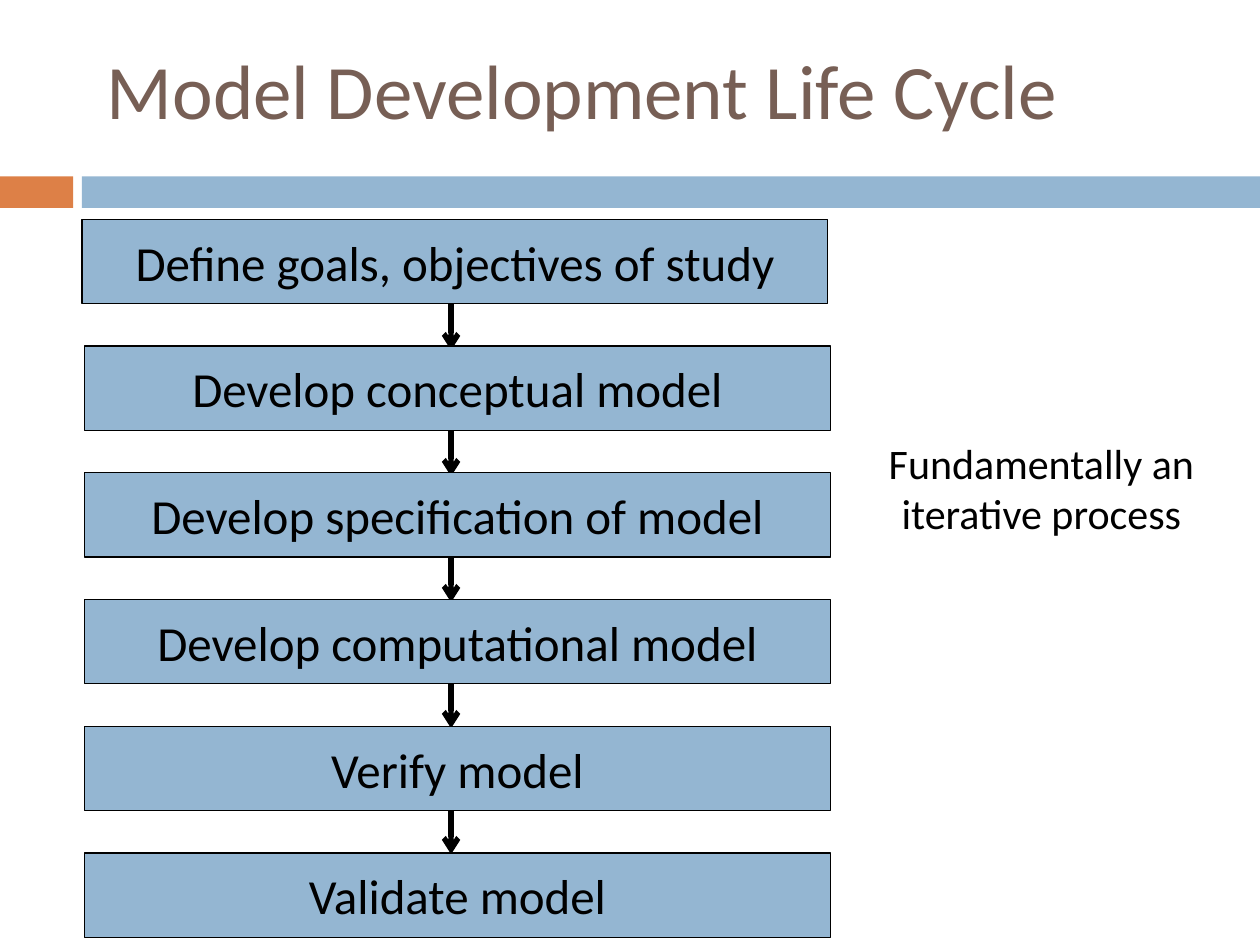
"""Build the Model Development Life Cycle slide."""
from lxml import etree
from pptx import Presentation
from pptx.dml.color import RGBColor
from pptx.enum.shapes import MSO_CONNECTOR, MSO_SHAPE
from pptx.enum.text import MSO_ANCHOR, PP_ALIGN
from pptx.oxml.ns import qn
from pptx.util import Inches, Pt

RECT = MSO_SHAPE.RECTANGLE
STRAIGHT = MSO_CONNECTOR.STRAIGHT
MIDDLE, TOP = MSO_ANCHOR.MIDDLE, MSO_ANCHOR.TOP
CENTER, LEFT = PP_ALIGN.CENTER, PP_ALIGN.LEFT

THEME = {
    "font": "Calibri",
    "blue": RGBColor.from_string("94B6D2"),
    "orange": RGBColor.from_string("DD8047"),
    "brown": RGBColor.from_string("775F55"),
    "black": RGBColor.from_string("000000"),
    "title": Pt(44),
    "step": Pt(28),
    "note": Pt(24),
}


def add_rect(left, top, width, height, color):
    sp = s.shapes.add_shape(RECT, Inches(left), Inches(top), Inches(width), Inches(height))
    sp.shadow.inherit = False
    sp.fill.solid()
    sp.fill.fore_color.rgb = THEME[color]
    sp.line.fill.background()
    return sp


def write(sp, text, size, color="black", align=CENTER, anchor=MIDDLE):
    tf = sp.text_frame
    tf.word_wrap = True
    tf.vertical_anchor = anchor
    p = tf.paragraphs[0]
    p.alignment = align
    r = p.add_run()
    r.text = text
    r.font.name = THEME["font"]
    r.font.size = THEME[size]
    r.font.color.rgb = THEME[color]


prs = Presentation()
prs.slide_width, prs.slide_height = Inches(10), Inches(7.5)
s = prs.slides.add_slide(prs.slide_layouts[6])

add_rect(0, 1.4, 0.58, 0.25, "orange")
add_rect(0.65, 1.4, 9.35, 0.25, "blue")

title = s.shapes.add_textbox(Inches(0.75), Inches(0.08), Inches(8.5), Inches(1.25))
write(title, "Model Development Life Cycle", "title", "brown", LEFT)

steps = [
    "Define goals, objectives of study",
    "Develop conceptual model",
    "Develop specification of model",
    "Develop computational model",
    "Verify model",
    "Validate model",
]
step_top, step_pitch = 1.74, 1.006
arrow_x, arrow_top, arrow_pitch, arrow_length = 3.58, 2.37, 1, 0.41

for i in range(len(steps) - 1):
    top = arrow_top + i * arrow_pitch
    arrow = s.shapes.add_connector(
        STRAIGHT, Inches(arrow_x), Inches(top), Inches(arrow_x), Inches(top + arrow_length))
    arrow.line.color.rgb = THEME["black"]
    arrow.line.width = Pt(3)
    etree.SubElement(arrow.line._get_or_add_ln(), qn("a:tailEnd"), type="arrow")
    etree.SubElement(arrow._element.spPr, qn("a:effectLst"))

note = s.shapes.add_textbox(Inches(6.94), Inches(3.42), Inches(2.65), Inches(0.91))
write(note, "Fundamentally an iterative process", "note", anchor=TOP)

for i, step in enumerate(steps):
    box = add_rect(0.67 if i else 0.65, step_top + i * step_pitch, 5.92, 0.67, "blue")
    box.line.color.rgb = THEME["black"]
    box.line.width = Pt(0.75)
    write(box, step, "step")

prs.save("out.pptx")
